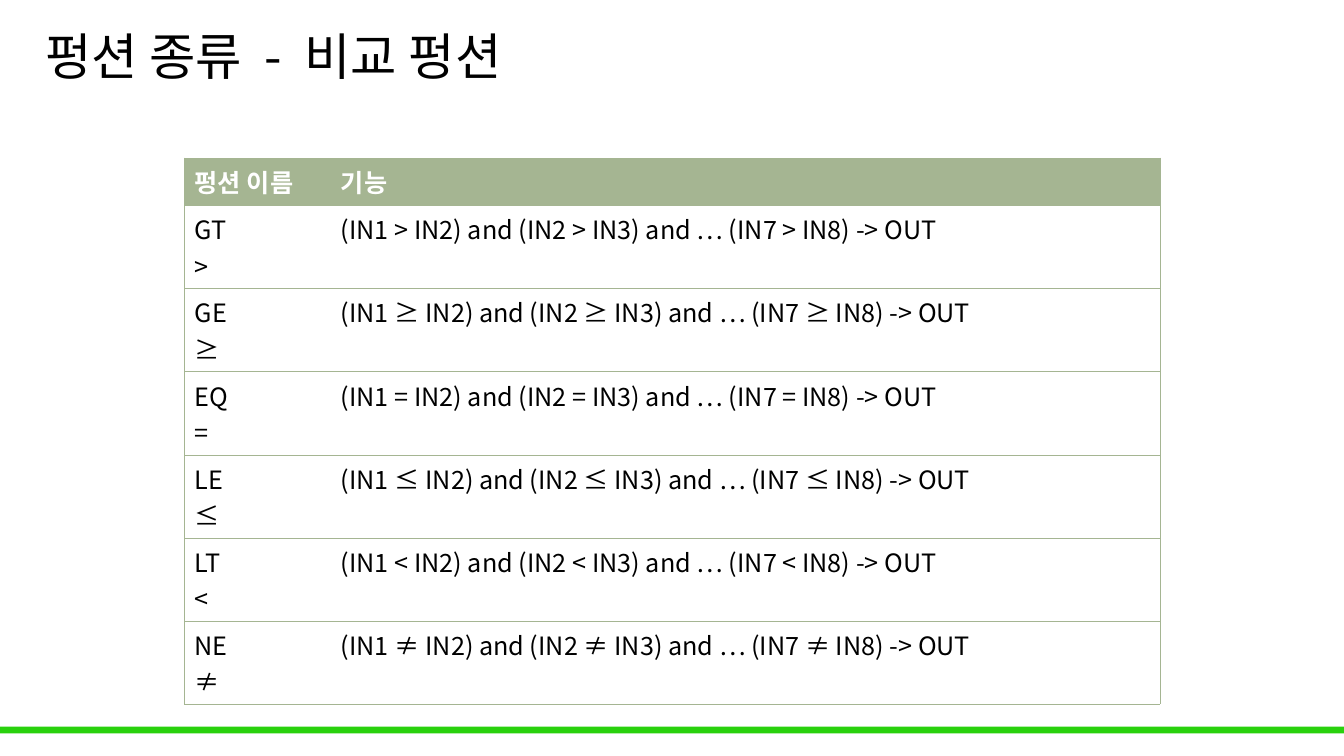
"""Build a slide with a table of comparison functions."""
import pptx
import pptx.dml.color
import pptx.enum.shapes
import pptx.enum.text
import pptx.oxml
import pptx.oxml.ns
import pptx.util

Pt = pptx.util.Pt
qn = pptx.oxml.ns.qn

TITLE = "펑션 종류  -  비교 펑션"
HEAD = ("펑션 이름", "기능")
TESTS = [("GT", ">"), ("GE", "≥"), ("EQ", "="), ("LE", "≤"), ("LT", "<"), ("NE", "≠")]
RULE = "(IN1 {0} IN2) and (IN2 {0} IN3) and … (IN7 {0} IN8) -> OUT"
FONT = "Noto Sans CJK KR"
COLORS = {"bar": "29D10D", "sage": "A5B592", "white": "FFFFFF", "black": "000000"}
WIDTHS = (104.4, 592.4)
HEAD_H, ROW_H = 34, 59.25


def color(name):
    return pptx.dml.color.RGBColor.from_string(COLORS[name])


def style(frame, size, name, bold=False):
    for para in frame.paragraphs:
        for run in para.runs:
            run.font.size = Pt(size)
            run.font.bold = bold
            run.font.name = FONT
            run.font.color.rgb = color(name)
            props = run.font._element
            east = props.makeelement(qn("a:ea"), {"typeface": FONT})
            props.find(qn("a:latin")).addnext(east)


def edge(cell, sides):
    props = cell._tc.get_or_add_tcPr()
    for spot, side in enumerate("LRTB"):
        shown = side in sides
        line = props.makeelement(qn("a:ln" + side), {"w": str(Pt(0.5) if shown else 0)})
        fill = line.makeelement(qn("a:solidFill" if shown else "a:noFill"), {})
        if shown:
            fill.append(fill.makeelement(qn("a:srgbClr"), {"val": COLORS["sage"]}))
        line.append(fill)
        props.insert(spot, line)


def add_grid(slide):
    rows = [HEAD] + [(f"{name}\n{sign}", RULE.format(sign)) for name, sign in TESTS]
    high = HEAD_H + ROW_H * len(TESTS)
    frame = slide.shapes.add_table(
        len(rows), len(HEAD), Pt(131.9), Pt(112.9), Pt(sum(WIDTHS)), Pt(high))
    table = frame.table
    table.horz_banding = False
    for col, width in zip(table.columns, WIDTHS):
        col.width = Pt(width)
    for r, texts in enumerate(rows):
        top = r == 0
        table.rows[r].height = Pt(HEAD_H if top else ROW_H)
        for c, text in enumerate(texts):
            cell = table.cell(r, c)
            cell.text_frame.text = text
            style(cell.text_frame, 18, "white" if top else "black", top)
            if top:
                cell.fill.solid()
                cell.fill.fore_color.rgb = color("sage")
            else:
                cell.fill.background()
            edge(cell, "LTB" if c == 0 else "RTB")


def add_title(slide):
    box = slide.shapes.add_textbox(Pt(25.2), Pt(8.6), Pt(690.5), Pt(67))
    frame = box.text_frame
    frame.word_wrap = True
    frame.vertical_anchor = pptx.enum.text.MSO_ANCHOR.MIDDLE
    frame.text = TITLE
    frame.paragraphs[0].line_spacing = 0.9
    style(frame, 36, "black")


def add_bar(slide):
    kind = pptx.enum.shapes.MSO_SHAPE.RECTANGLE
    bar = slide.shapes.add_shape(kind, 0, Pt(519), Pt(960), Pt(5))
    bar.shadow.inherit = False
    bar.fill.solid()
    bar.fill.fore_color.rgb = color("bar")
    bar.line.fill.background()


def main():
    deck = pptx.Presentation()
    deck.slide_width, deck.slide_height = Pt(960), Pt(540)
    slide = deck.slides.add_slide(deck.slide_layouts[6])
    add_bar(slide)
    add_grid(slide)
    add_title(slide)
    deck.save("out.pptx")


if __name__ == "__main__":
    main()
